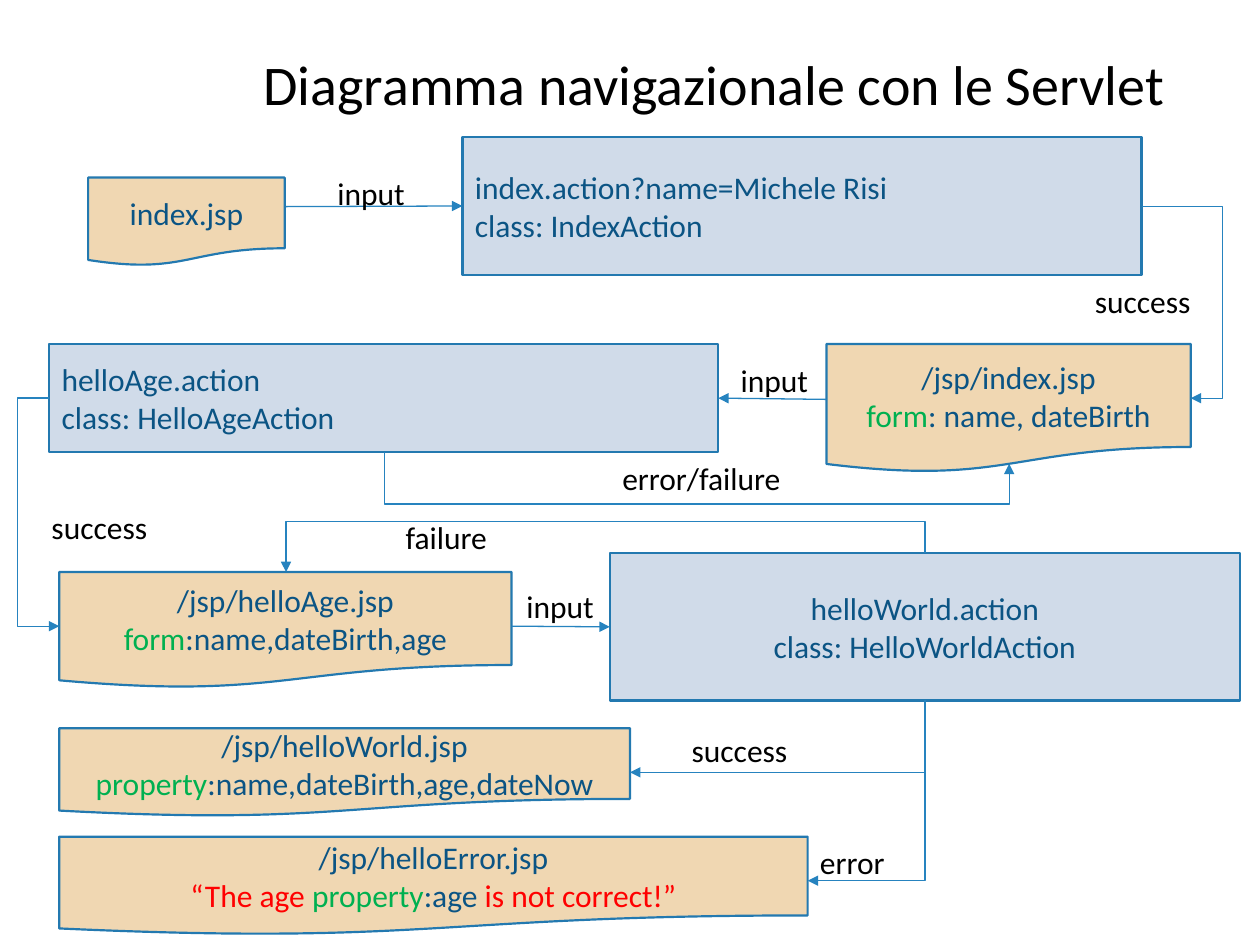
from lxml.etree import SubElement
from pptx import Presentation
from pptx.dml.color import RGBColor
from pptx.enum.shapes import MSO_CONNECTOR as LINK, MSO_SHAPE as SHAPE
from pptx.enum.text import MSO_ANCHOR as ANCHOR, MSO_AUTO_SIZE as FIT, PP_ALIGN as ALIGN
from pptx.oxml.ns import qn
from pptx.util import Inches, Pt

WIDTH, HEIGHT = Inches(10), Inches(7.5)
COLUMNS, ROWS = 100, 75
FONT = "Calibri"
BLACK = RGBColor(0, 0, 0)
NAVY = RGBColor(0x0B, 0x54, 0x84)
GREEN = RGBColor(0x00, 0xB0, 0x50)
RED = RGBColor(0xFF, 0, 0)
SAND = RGBColor(0xF0, 0xD7, 0xB2)
SKY = RGBColor(0xD0, 0xDB, 0xE9)
EDGE = RGBColor(0x23, 0x79, 0xB0)
ARROW = RGBColor(0x26, 0x83, 0xBF)

PAGES = {
    "index": ((7, 14.1, 15.6, 7), [[("index.jsp", NAVY)]]),
    "form": ((65.6, 27.3, 28.9, 10.2),
             [[("/jsp/index.jsp", NAVY)], [("form", GREEN), (": name, dateBirth", NAVY)]]),
    "age": ((4.7, 45.4, 35.9, 9.2),
            [[("/jsp/helloAge.jsp", NAVY)], [("form", GREEN), (":name,dateBirth,age", NAVY)]]),
    "world": ((4.7, 57.8, 45.3, 7),
              [[("/jsp/helloWorld.jsp", NAVY)],
               [("property", GREEN), (":name,dateBirth,age,dateNow", NAVY)]]),
    "error": ((4.7, 66.4, 59.4, 7.8),
              [[("/jsp/helloError.jsp", NAVY)],
               [("“The age ", RED), ("property", GREEN), (":age ", NAVY),
                ("is not correct!”", RED)]]),
}
ACTIONS = {
    "index": ((36.7, 10.9, 53.9, 10.9), ALIGN.LEFT,
              ["index.action?name=Michele Risi", "class: IndexAction"]),
    "age": ((3.9, 27.3, 53.1, 8.6), ALIGN.LEFT, ["helloAge.action", "class: HelloAgeAction"]),
    "world": ((48.4, 43.9, 50, 11.7), ALIGN.CENTER,
              ["helloWorld.action", "class: HelloWorldAction"]),
}
LABELS = [
    ("input", 25.8, 13.3, 7.5), ("success", 85.9, 21.9, 11.1), ("input", 57.8, 28.2, 7.5),
    ("error/failure", 48.4, 35.9, 14.9), ("success", 3.1, 39.8, 11.1),
    ("input", 40.8, 46.1, 7.5), ("failure", 31.2, 40.6, 8.9),
    ("success", 53.9, 57.5, 11.1), ("error", 64.1, 66.4, 7.3),
]
STRAIGHTS = [((22.7, 16.4), "index", 1), ((65.6, 31.7), "age", 3), ((40.6, 49.7), "world", 1)]
SIDEWAYS = [((3.9, 31.6), (4.7, 49.7), 1.4), ((90.6, 16.4), (94.5, 31.6), 97)]
DOWNWARD = [((30.5, 35.9), (80.1, 36.8), 40), ((73.4, 43.9), (22.7, 45.4), 41.4)]
CORNERS = [((73.4, 55.6), (50, 61.3)), ((73.4, 55.6), (64.1, 69.9))]


def across(columns):
    """Turn grid columns into a length."""
    return round(WIDTH * columns / COLUMNS)


def down(rows):
    """Turn grid rows into a length."""
    return round(HEIGHT * rows / ROWS)


def place(left, top, width, height):
    """Turn a grid frame into lengths."""
    return across(left), down(top), across(width), down(height)


def write(frame, lines, align=ALIGN.LEFT, size=18):
    """Write lines, each a list of text and colour pairs."""
    for index, spans in enumerate(lines):
        para = frame.add_paragraph() if index else frame.paragraphs[0]
        para.alignment = align
        para.font.name, para.font.size = FONT, Pt(size)
        if len(spans) == 1:
            para.font.color.rgb = spans[0][1]
        for text, color in spans:
            span = para.add_run()
            span.text = text
            if len(spans) > 1:
                span.font.color.rgb = color


def add_title(page, text):
    """Fill and move the title placeholder."""
    title = page.shapes.title
    title.left, title.top, title.width, title.height = place(15.7, 3, 82, 7.9)
    frame = title.text_frame
    frame.vertical_anchor = ANCHOR.MIDDLE
    write(frame, [[(text, BLACK)]], ALIGN.CENTER, 32)
    frame.paragraphs[0].line_spacing = 0.9


def add_node(page, kind, grid, fill, lines, align=ALIGN.CENTER):
    """Draw one outlined node with its text."""
    box = page.shapes.add_shape(kind, *place(*grid))
    box.shadow.inherit = False
    box.fill.solid()
    box.fill.fore_color.rgb = fill
    box.line.color.rgb, box.line.width = EDGE, Pt(1.25)
    box.text_frame.word_wrap = True
    box.text_frame.vertical_anchor = ANCHOR.MIDDLE
    write(box.text_frame, lines, align)
    return box


def add_label(page, text, left, top, width):
    """Write a transition name beside its arrow."""
    frame = page.shapes.add_textbox(*place(left, top, width, 4)).text_frame
    frame.word_wrap = False
    frame.auto_size = FIT.SHAPE_TO_FIT_TEXT
    write(frame, [[(text, BLACK)]])


def add_arrow(page, kind, start, end):
    """Draw a connector with an arrowhead at its end."""
    arrow = page.shapes.add_connector(
        kind, across(start[0]), down(start[1]), across(end[0]), down(end[1]))
    arrow.line.color.rgb, arrow.line.width = ARROW, Pt(0.75)
    SubElement(arrow.line._get_or_add_ln(), qn("a:tailEnd"), type="triangle")
    SubElement(arrow._element.spPr, qn("a:effectLst"))
    return arrow


def bend(arrow, share):
    """Set where an elbow turns, as a share of its run."""
    guides = arrow._element.spPr.find(qn("a:prstGeom")).get_or_add_avLst()
    SubElement(guides, qn("a:gd"), name="adj1", fmla=f"val {round(share * 100000)}")


def add_sideways(page, start, end, turn):
    """Draw an elbow that leaves sideways and turns at a column."""
    arrow = add_arrow(page, LINK.ELBOW, start, end)
    bend(arrow, (turn - start[0]) / (end[0] - start[0]))


def add_downward(page, start, end, turn=None):
    """Draw an elbow that leaves vertically and turns at a row, or once only."""
    middle, center = (start[0] + end[0]) / 2, (start[1] + end[1]) / 2
    run, drop = (end[0] - start[0]) / 2, (end[1] - start[1]) / 2
    arrow = add_arrow(page, LINK.ELBOW, (middle - drop, center + run),
                      (middle + drop, center - run))
    shape = arrow._element.spPr
    shape.find(qn("a:xfrm")).set("rot", str(90 * 60000))
    if turn is None:
        shape.find(qn("a:prstGeom")).set("prst", "bentConnector2")
    else:
        bend(arrow, (turn - start[1]) / (end[1] - start[1]))


def main():
    """Build the navigation diagram."""
    deck = Presentation()
    deck.slide_width, deck.slide_height = WIDTH, HEIGHT
    page = deck.slides.add_slide(deck.slide_layouts[5])
    add_title(page, "Diagramma navigazionale con le Servlet")
    for grid, lines in PAGES.values():
        add_node(page, SHAPE.FLOWCHART_DOCUMENT, grid, SAND, lines)
    actions = {
        name: add_node(page, SHAPE.RECTANGLE, grid, SKY, [[(line, NAVY)] for line in lines], align)
        for name, (grid, align, lines) in ACTIONS.items()
    }
    for start, name, side in STRAIGHTS:
        add_arrow(page, LINK.STRAIGHT, start, start).end_connect(actions[name], side)
    for route in SIDEWAYS:
        add_sideways(page, *route)
    for route in DOWNWARD + CORNERS:
        add_downward(page, *route)
    for label in LABELS:
        add_label(page, *label)
    deck.save("out.pptx")


if __name__ == "__main__":
    main()
